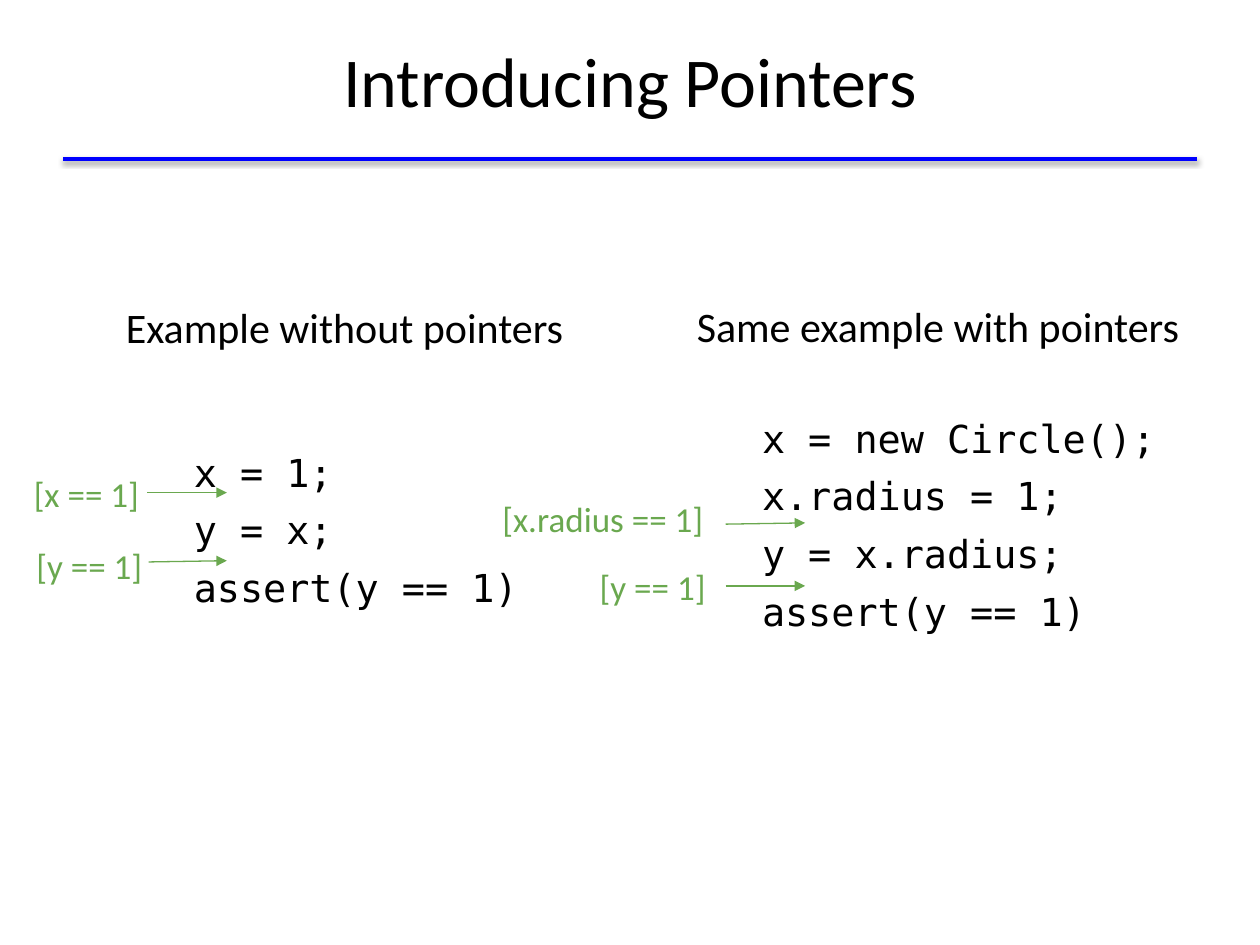
"""Build the slide that introduces pointers with two annotated code examples."""
from lxml.etree import SubElement
from pptx import Presentation
from pptx.dml.color import RGBColor as Color
from pptx.enum.shapes import MSO_CONNECTOR as Connector
from pptx.enum.text import MSO_ANCHOR as Anchor, PP_ALIGN as Align
from pptx.oxml.ns import qn
from pptx.util import Inches, Pt

THEME = {
    "title": ("Calibri", 40, "000000"),
    "heading": ("Calibri", 24, "000000"),
    "code": ("DejaVu Sans Mono", 22, "000000"),
    "state": ("Calibri", 20, "6AA84F"),
    "rule": ("0000FF", 2),
    "arrow": ("6AA84F", 0.75),
}
TITLE = ("Introducing Pointers", (0.5, 0.01, 9, 1.25))
RULE = ((0.5, 1.26), (9.5, 1.26))
EXAMPLES = [
    {
        "heading": ("Example without pointers", (0.88, 2.27, 3.71, 0.64)),
        "code": (["x = 1;", "y = x;", "assert(y == 1)"], (1.44, 3.37, 3.28, 1.9)),
        "state_align": Align.LEFT,
        "states": [
            ("[x == 1]", (0.17, 3.65, 1.14, 0.53), (1.17, 3.91), (1.8, 3.91)),
            ("[y == 1]", (0.19, 4.22, 1.14, 0.53), (1.18, 4.46), (1.8, 4.45)),
        ],
    },
    {
        "heading": ("Same example with pointers", (5.35, 2.18, 4.19, 0.81)),
        "code": (
            ["x = new Circle();", "x.radius = 1;", "y = x.radius;", "assert(y == 1)"],
            (5.95, 3.1, 3.84, 3.14),
        ),
        "state_align": Align.CENTER,
        "states": [
            ("[x.radius == 1]", (3.83, 3.89, 1.91, 0.45), (5.76, 4.16), (6.39, 4.15)),
            ("[y == 1]", (4.37, 4.39, 1.62, 0.53), (5.76, 4.65), (6.39, 4.65)),
        ],
    },
]


def write(box, lines, style, align=Align.CENTER, anchor=Anchor.MIDDLE, spacing=1.0):
    name, size, color = THEME[style]
    frame = box.text_frame
    frame.text = "\n".join(lines)
    frame.word_wrap = True
    frame.vertical_anchor = anchor
    frame.margin_left = frame.margin_right = Inches(0.1)
    frame.margin_top = frame.margin_bottom = Inches(0.1)
    for para in frame.paragraphs:
        para.alignment = align
        para.line_spacing = spacing
        para.space_before = Pt(0)
        for span in para.runs:
            span.font.name = name
            span.font.size = Pt(size)
            span.font.color.rgb = Color.from_string(color)


def add_text(slide, lines, place, style, **layout):
    box = slide.shapes.add_textbox(*map(Inches, place))
    write(box, lines, style, **layout)


def add_line(slide, start, end, style):
    color, width = THEME[style]
    line = slide.shapes.add_connector(Connector.STRAIGHT, *map(Inches, start + end))
    line.line.color.rgb = Color.from_string(color)
    line.line.width = Pt(width)
    effects = SubElement(line._element.spPr, qn("a:effectLst"))
    return line, effects


def add_rule(slide):
    _, effects = add_line(slide, *RULE, "rule")
    shadow = SubElement(
        effects, qn("a:outerShdw"),
        blurRad=str(Pt(3.1)), dist=str(Pt(1.6)), dir="5400000", rotWithShape="0",
    )
    color = SubElement(shadow, qn("a:srgbClr"), val="000000")
    SubElement(color, qn("a:alpha"), val="38000")


def add_arrow(slide, start, end):
    arrow, _ = add_line(slide, start, end, "arrow")
    SubElement(arrow.line._get_or_add_ln(), qn("a:tailEnd"), type="triangle")


def add_example(slide, example):
    heading, place = example["heading"]
    add_text(slide, [heading], place, "heading")
    lines, place = example["code"]
    add_text(slide, lines, place, "code", align=Align.LEFT, anchor=Anchor.TOP, spacing=1.25)
    for state, place, start, end in example["states"]:
        add_text(slide, [state], place, "state", align=example["state_align"])
        add_arrow(slide, start, end)


def main():
    deck = Presentation()
    deck.slide_width, deck.slide_height = Inches(10), Inches(7.5)
    slide = deck.slides.add_slide(deck.slide_layouts[5])
    add_rule(slide)
    text, place = TITLE
    title = slide.shapes.title
    title.left, title.top, title.width, title.height = map(Inches, place)
    write(title, [text], "title")
    for example in EXAMPLES:
        add_example(slide, example)
    deck.save("out.pptx")


if __name__ == "__main__":
    main()
